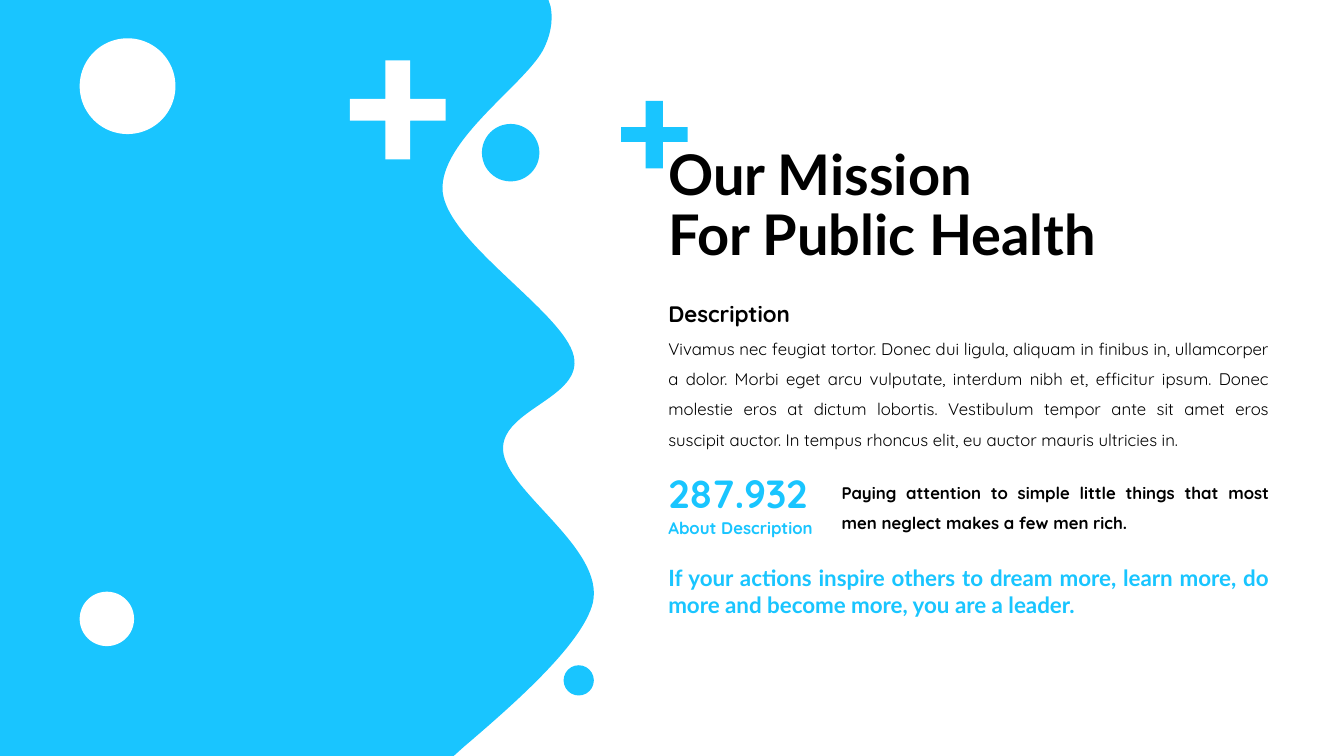
from lxml import etree
from pptx import Presentation
from pptx.dml.color import RGBColor
from pptx.enum.shapes import MSO_SHAPE
from pptx.enum.text import MSO_ANCHOR, MSO_AUTO_SIZE, PP_ALIGN
from pptx.oxml.ns import qn
from pptx.util import Inches, Pt

WIDTH, HEIGHT = 13.33, 7.5
COLORS = {"sky": "19C5FF", "white": "FFFFFF", "black": "000000"}

# Each wave curve: two control points and an end point, as inches
WAVE_CURVES = [
    ((5.48, 0.16), (5.48, 0.3), (5.4, 0.47)),
    ((5.24, 0.82), (4.35, 1.39), (4.39, 1.9)),
    ((4.44, 2.41), (5.59, 3.1), (5.69, 3.53)),
    ((5.79, 3.95), (4.96, 4.06), (4.99, 4.47)),
    ((5.02, 4.88), (6, 5.44), (5.88, 5.98)),
    ((5.78, 6.39), (5.08, 7), (4.6, 7.41)),
]


def paint(shape, color):
    shape.shadow.inherit = False
    shape.fill.solid()
    shape.fill.fore_color.rgb = RGBColor.from_string(COLORS[color])
    shape.line.fill.background()


def add_outline(slide, points, color):
    points = [(Inches(x), Inches(y)) for x, y in points]
    builder = slide.shapes.build_freeform(*points[0], scale=1)
    builder.add_line_segments(points[1:], close=True)
    shape = builder.convert_to_shape()
    paint(shape, color)
    return shape


def bend(shape, first_segment, curves):
    """Turn consecutive straight segments of an outline into Bezier curves."""
    segments = list(shape.element.iter(qn("a:lnTo")))[first_segment:]
    for segment, curve in zip(segments, curves):
        bezier = etree.Element(qn("a:cubicBezTo"))
        for x, y in curve:
            etree.SubElement(bezier, qn("a:pt"), x=str(Inches(x) - shape.left),
                             y=str(Inches(y) - shape.top))
        segment.getparent().replace(segment, bezier)


def add_circle(slide, left, top, diameter, color):
    circle = slide.shapes.add_shape(
        MSO_SHAPE.OVAL, Inches(left), Inches(top), Inches(diameter), Inches(diameter))
    paint(circle, color)


def add_plus(slide, left, top, width, height, color):
    near_x, far_x, near_y, far_y = 0.37, 0.63, 0.39, 0.61
    shares = [
        (near_x, 0), (far_x, 0), (far_x, near_y), (1, near_y), (1, far_y), (far_x, far_y),
        (far_x, 1), (near_x, 1), (near_x, far_y), (0, far_y), (0, near_y), (near_x, near_y),
    ]
    add_outline(slide, [(left + x * width, top + y * height) for x, y in shares], color)


def add_text(slide, text, left, top, width, height, *, size, font="Quicksand", color="black",
             bold=True, align=PP_ALIGN.JUSTIFY, spacing=1.0, anchor=MSO_ANCHOR.TOP,
             fit=MSO_AUTO_SIZE.SHAPE_TO_FIT_TEXT):
    box = slide.shapes.add_textbox(Inches(left), Inches(top), Inches(width), Inches(height))
    frame = box.text_frame
    frame.word_wrap = True
    frame.auto_size = fit
    frame.vertical_anchor = anchor
    paragraph = frame.paragraphs[0]
    paragraph.text = text
    paragraph.alignment = align
    paragraph.line_spacing = spacing
    for run in paragraph.runs:
        run.font.name = font
        run.font.size = Pt(size)
        run.font.bold = bold
        run.font.color.rgb = RGBColor.from_string(COLORS[color])


def add_wave_panel(slide, left, top, height):
    curves = [[(left + x, top + y) for x, y in curve] for curve in WAVE_CURVES]
    bottom = top + height
    straight = [(left, bottom), (left, top), (left + 5.44, top), (left + 5.46, top + 0.06)]
    ends = [curve[-1] for curve in curves]
    panel = add_outline(slide, [*straight, *ends, (left + 4.5, bottom)], "sky")
    bend(panel, len(straight) - 1, curves)
    add_plus(slide, left + 3.47, top + 0.6, 0.95, 0.98, "white")
    for x, y, diameter, color in [
        (0.79, 5.87, 0.54, "white"),
        (0.79, 0.38, 0.95, "white"),
        (5.59, 6.6, 0.3, "sky"),
        (4.78, 1.23, 0.57, "sky"),
    ]:
        add_circle(slide, left + x, top + y, diameter, color)


def add_mission(slide, left, top, width):
    add_plus(slide, left - 0.37, top - 0.33, 0.66, 0.67, "sky")
    add_text(slide, "Vivamus nec feugiat tortor. Donec dui ligula, aliquam in finibus in, "
             "ullamcorper a dolor. Morbi eget arcu vulputate, interdum nibh et, efficitur ipsum. "
             "Donec molestie eros at dictum lobortis. Vestibulum tempor ante sit amet eros "
             "suscipit auctor. In tempus rhoncus elit, eu auctor mauris ultricies in.",
             left, top + 1.88, width, 1.31, size=12, bold=False, spacing=1.5)
    add_text(slide, "Description", left, top + 1.46, 2.96, 0.45, size=16, spacing=1.5)
    label_width = 1.72
    add_text(slide, "About Description", left, top + 3.76, label_width, 0.3, size=12,
             color="sky", anchor=MSO_ANCHOR.MIDDLE)
    add_text(slide, "287.932", left, top + 3.27, 2.3, 0.57, size=28, color="sky",
             anchor=MSO_ANCHOR.MIDDLE)
    add_text(slide, "Paying attention to simple little things that most men neglect makes "
             "a few men rich.", left + label_width, top + 3.31, width - label_width, 0.67,
             size=12, spacing=1.5)
    add_text(slide, "If your actions inspire others to dream more, learn more, do more and "
             "become more, you are a leader.", left, top + 4.22, width, 0.64, size=16,
             font="Lato", color="sky")
    add_text(slide, "Our Mission \vFor Public Health", left, top, 5.08, 1.45, size=40,
             font="Lato", align=PP_ALIGN.LEFT, spacing=0.9, anchor=MSO_ANCHOR.MIDDLE,
             fit=MSO_AUTO_SIZE.NONE)


def main():
    presentation = Presentation()
    presentation.slide_width = Inches(WIDTH)
    presentation.slide_height = Inches(HEIGHT)
    slide = presentation.slides.add_slide(presentation.slide_layouts[6])
    add_wave_panel(slide, 0, 0, HEIGHT)
    add_mission(slide, 6.53, 1.33, 6.16)
    presentation.save("out.pptx")


if __name__ == "__main__":
    main()
